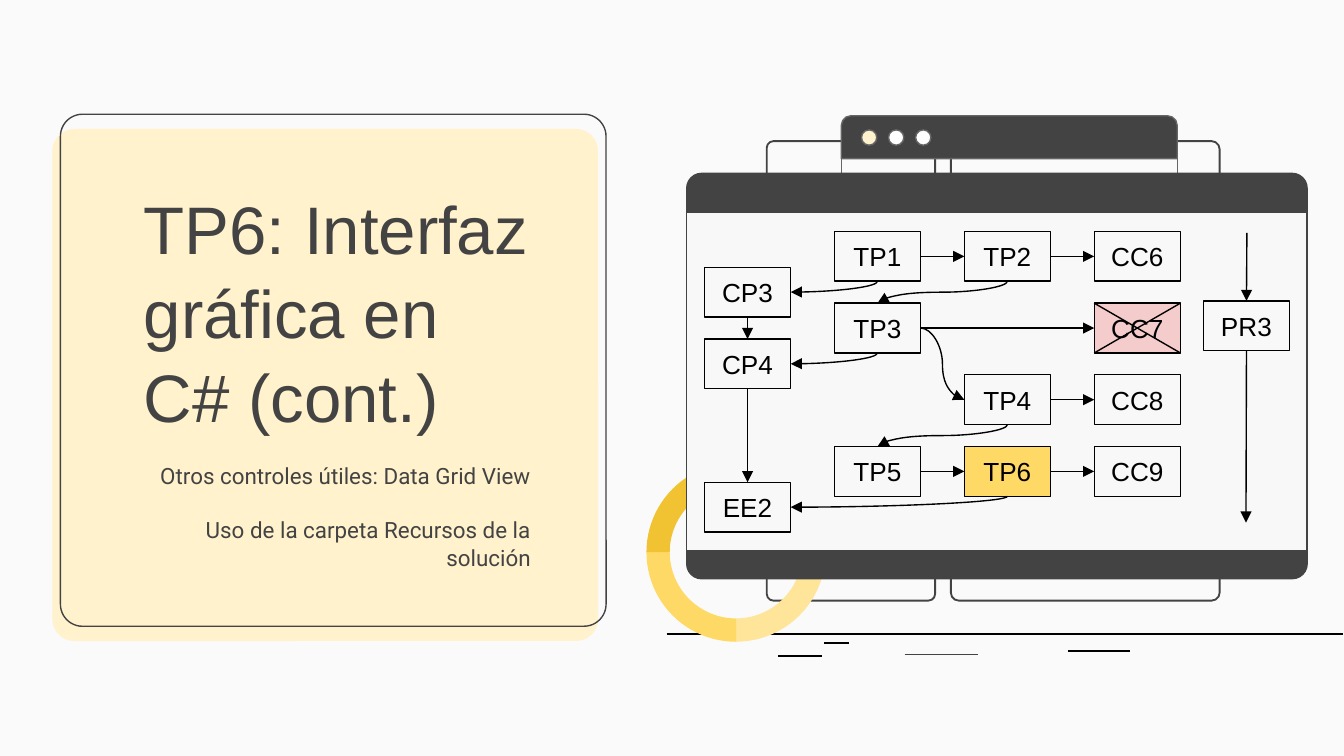
from pptx import Presentation
from pptx.dml.color import RGBColor
from pptx.enum.shapes import MSO_CONNECTOR, MSO_SHAPE
from pptx.enum.text import MSO_ANCHOR, MSO_AUTO_SIZE, PP_ALIGN
from pptx.oxml.ns import qn
from pptx.util import Pt
from lxml import etree

RECTANGLE = MSO_SHAPE.RECTANGLE
ROUNDED = MSO_SHAPE.ROUNDED_RECTANGLE
ROUNDED_TOP = MSO_SHAPE.ROUND_2_SAME_RECTANGLE
OVAL = MSO_SHAPE.OVAL
BLOCK_ARC = MSO_SHAPE.BLOCK_ARC
STRAIGHT = MSO_CONNECTOR.STRAIGHT
CURVE = MSO_CONNECTOR.CURVE
LEFT, CENTER, RIGHT = PP_ALIGN.LEFT, PP_ALIGN.CENTER, PP_ALIGN.RIGHT
TOP, MIDDLE, BOTTOM = MSO_ANCHOR.TOP, MSO_ANCHOR.MIDDLE, MSO_ANCHOR.BOTTOM
NO_AUTOFIT = MSO_AUTO_SIZE.NONE

TOP_SIDE, LEFT_SIDE, BOTTOM_SIDE, RIGHT_SIDE = range(4)
DARK, GRAY, BLACK, CREAM, GOLD = "434343", "666666", "000000", "FFF2CC", "FFD966"

BOX_WIDTH, BOX_HEIGHT = 46.2, 26.7
GRID_LEFT, GRID_TOP = 377.4, 124
COLUMN_STEP, ROW_STEP = 69.6, 38.4

BOXES = {
    "TP1": (1, 0), "TP2": (2, 0), "CC6": (3, 0),
    "TP3": (1, 1), "CC7": (3, 1),
    "TP4": (2, 2), "CC8": (3, 2),
    "TP5": (1, 3), "TP6": (2, 3), "CC9": (3, 3),
    "CP3": (0, 0.5), "CP4": (0, 1.5), "EE2": (0, 3.5),
    "PR3": (3.84, 0.97),
}
BOX_FILLS = {"TP6": GOLD, "CC7": "F4CCCC"}
ACROSS = [("TP1", "TP2"), ("TP2", "CC6"), ("TP3", "CC7"),
          ("TP4", "CC8"), ("TP5", "TP6"), ("TP6", "CC9")]
DOWN = [("CP3", "CP4"), ("CP4", "EE2")]
BACK_DOWN = [("TP2", "TP3"), ("TP4", "TP5")]
BACK_LEFT = [("TP1", "CP3"), ("TP3", "CP4"), ("TP6", "EE2")]
GROUND = [(357.1, 719.3, 339.8, BLACK, 1), (416.9, 440.6, 351.4, BLACK, 1),
          (484.6, 523.8, 350.7, DARK, 0.5), (441.4, 455, 344.6, BLACK, 1),
          (572.1, 605.2, 348.9, BLACK, 1)]


def color(value):
    return RGBColor.from_string(value)


def add_form(slide, kind, left, top, width, height, fill=None, line=None,
             line_width=0.75, adjustments=()):
    shape = slide.shapes.add_shape(kind, Pt(left), Pt(top), Pt(width), Pt(height))
    shape.shadow.inherit = False
    for index, value in enumerate(adjustments):
        shape.adjustments[index] = value
    if fill:
        shape.fill.solid()
        shape.fill.fore_color.rgb = color(fill)
    else:
        shape.fill.background()
    if line:
        shape.line.color.rgb = color(line)
        shape.line.width = Pt(line_width)
    else:
        shape.line.fill.background()
    return shape


def write_text(shape, *texts, font="Arial", size=14, ink=BLACK, align=CENTER,
               anchor=MIDDLE, spacing=1.0, gap=0):
    frame = shape.text_frame
    frame.word_wrap = True
    frame.auto_size = NO_AUTOFIT
    frame.vertical_anchor = anchor
    frame.margin_left = frame.margin_right = Pt(7.2)
    frame.margin_top = frame.margin_bottom = Pt(7.2)
    for index, text in enumerate(texts):
        paragraph = frame.add_paragraph() if index else frame.paragraphs[0]
        paragraph.alignment = align
        paragraph.line_spacing = spacing
        paragraph.space_before = Pt(gap if index else 0)
        run = paragraph.add_run()
        run.text = text
        run.font.name = font
        run.font.size = Pt(size)
        run.font.color.rgb = color(ink)


def place_placeholder(slide, index, left, top, width, height):
    shape = slide.placeholders[index]
    shape.left, shape.top, shape.width, shape.height = map(Pt, (left, top, width, height))
    slide.shapes.element.append(shape.element)
    return shape


def add_line(slide, start=(0, 0), end=(0, 0), begin=None, finish=None, kind=STRAIGHT,
             ink=BLACK, width=0.75, arrow=False):
    connector = slide.shapes.add_connector(kind, *map(Pt, (*start, *end)))
    if begin:
        connector.begin_connect(*begin)
    if finish:
        connector.end_connect(*finish)
    connector.line.color.rgb = color(ink)
    connector.line.width = Pt(width)
    properties = connector.element.spPr
    if arrow:
        etree.SubElement(properties.find(qn("a:ln")), qn("a:tailEnd"), type="triangle")
    etree.SubElement(properties, qn("a:effectLst"))
    return connector


def turn_downward(connector, preset="curvedConnector3"):
    left, top = connector.left, connector.top
    width, height = connector.width, connector.height
    connector.left = left + (width - height) // 2
    connector.top = top + (height - width) // 2
    connector.width, connector.height = height, width
    transform = connector.element.spPr.find(qn("a:xfrm"))
    transform.attrib.pop("flipH", None)
    transform.set("rot", "5400000")
    connector.element.spPr.find(qn("a:prstGeom")).set("prst", preset)


def add_card(slide):
    add_form(slide, ROUNDED, 28.1, 69.1, 292.3, 274.3, fill=CREAM, adjustments=[0.043])
    add_form(slide, ROUNDED, 32.4, 61.2, 292.3, 274.3, line=DARK, adjustments=[0.043])
    title = place_placeholder(slide, 0, 69.8, 153.4, 221.8, 87.1)
    write_text(title, "TP6: Interfaz gráfica en C# (cont.)", size=36, ink=DARK,
               align=LEFT, anchor=BOTTOM, spacing=1.04)
    subtitle = place_placeholder(slide, 1, 69.8, 239.8, 221.8, 87.1)
    write_text(subtitle, "Otros controles útiles: Data Grid View",
               "Uso de la carpeta Recursos de la solución", font="Roboto", size=12,
               ink=DARK, align=RIGHT, anchor=TOP, spacing=1.03, gap=14.4)


def add_windows(slide):
    for left, right, y, ink, width in GROUND:
        add_line(slide, (left, y), (right, y), ink=ink, width=width)
    for left, width, rounding in ((410.8, 90.2, 0.04), (509.4, 144, 0.03)):
        add_form(slide, ROUNDED, left, 75.6, width, 246.2, line=DARK, line_width=1,
                 adjustments=[rounding])
    add_form(slide, ROUNDED_TOP, 450.7, 62, 180, 23, fill=DARK, line=GRAY,
             adjustments=[0.23])
    for index, fill in enumerate((CREAM, "FFFFFF", "FFFFFF")):
        add_form(slide, OVAL, 461.5 + 14.5 * index, 69.6, 8.2, 8.2, fill=fill, line=GRAY)
    add_form(slide, RECTANGLE, 450.7, 85, 180, 118, line=GRAY)
    for start, end, fill in ((300, 90, "FFE599"), (90, 180, GOLD), (180, 300, "F1C232")):
        add_form(slide, BLOCK_ARC, 346.3, 247.8, 96, 96, fill=fill,
                 adjustments=[start * 0.6, end * 0.6, 0.13])
    add_form(slide, ROUNDED, 367.9, 92.9, 332.4, 217.2, fill=DARK, line=DARK,
             adjustments=[0.037])
    add_form(slide, RECTANGLE, 367.9, 113.9, 332.4, 181, fill="F8F8F8", line=DARK)


def add_diagram(slide):
    boxes = {}
    for name, (column, row) in BOXES.items():
        boxes[name] = add_form(slide, RECTANGLE, GRID_LEFT + column * COLUMN_STEP,
                               GRID_TOP + row * ROW_STEP, BOX_WIDTH, BOX_HEIGHT,
                               fill=BOX_FILLS.get(name), line=BLACK)
        write_text(boxes[name], name)

    def link(source, source_side, target, target_side, kind=STRAIGHT):
        return add_line(slide, begin=(boxes[source], source_side),
                        finish=(boxes[target], target_side), kind=kind, arrow=True)

    for source, target in ACROSS:
        link(source, RIGHT_SIDE, target, LEFT_SIDE)
    for source, target in DOWN:
        link(source, BOTTOM_SIDE, target, TOP_SIDE)
    for source, target in BACK_DOWN:
        turn_downward(link(source, BOTTOM_SIDE, target, TOP_SIDE, CURVE))
    for source, target in BACK_LEFT:
        turn_downward(link(source, BOTTOM_SIDE, target, RIGHT_SIDE, CURVE),
                      "curvedConnector2")
    link("TP3", RIGHT_SIDE, "TP4", LEFT_SIDE, CURVE)

    add_line(slide, start=(668, 124.8), finish=(boxes["PR3"], TOP_SIDE), arrow=True)
    add_line(slide, end=(667.5, 280), begin=(boxes["PR3"], BOTTOM_SIDE), arrow=True)

    column, row = BOXES["CC7"]
    left, top = GRID_LEFT + column * COLUMN_STEP, GRID_TOP + row * ROW_STEP
    right, bottom = left + BOX_WIDTH, top + BOX_HEIGHT
    add_line(slide, (right, top), (left, bottom))
    add_line(slide, (right, bottom), (left, top))


def main():
    presentation = Presentation()
    presentation.slide_width, presentation.slide_height = Pt(720), Pt(405)
    slide = presentation.slides.add_slide(presentation.slide_layouts[0])
    slide.background.fill.solid()
    slide.background.fill.fore_color.rgb = color("FAFAFA")
    add_card(slide)
    add_windows(slide)
    add_diagram(slide)
    presentation.save("out.pptx")


if __name__ == "__main__":
    main()
